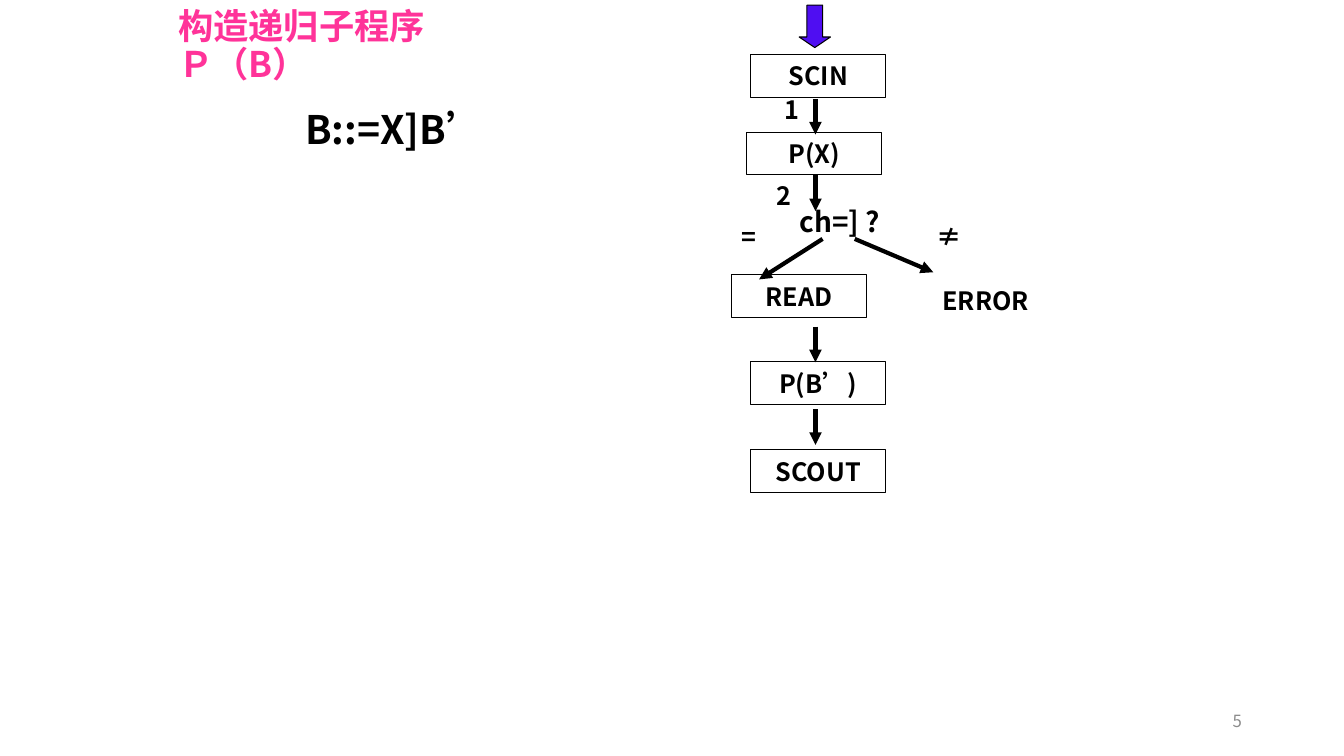
from lxml import etree
from pptx import Presentation
from pptx.dml.color import RGBColor
from pptx.enum import lang, shapes, text
from pptx.oxml.ns import qn
from pptx.util import Cm, Pt

FONT = "Noto Sans CJK SC"
COLORS = {"ink": "000000", "title": "FF3399", "entry": "4F0EF2", "number": "8C8C8C"}
BLOCK_W, BLOCK_H = 3.4, 1.08
CENTER, RIGHT = text.PP_ALIGN.CENTER, text.PP_ALIGN.RIGHT
MIDDLE = text.MSO_ANCHOR.MIDDLE


def color(key):
    return RGBColor.from_string(COLORS[key])


def write(frame, lines, size, ink="ink", bold=True, align=None, anchor=None, wrap=True):
    """Fill a text frame with one paragraph, its lines parted by breaks."""
    frame.word_wrap = wrap
    frame.vertical_anchor = anchor
    paragraph = frame.paragraphs[0]
    paragraph.alignment = align
    for index, line in enumerate(lines):
        if index:
            paragraph.add_line_break()
        run = paragraph.add_run()
        run.text = line
        font = run.font
        font.name, font.size, font.bold = FONT, Pt(size), bold
        font.color.rgb = color(ink)
        font.language_id = lang.MSO_LANGUAGE_ID.SIMPLIFIED_CHINESE
        east_asian = etree.Element(qn("a:ea"), typeface=FONT)
        run.font._element.find(qn("a:latin")).addnext(east_asian)
    return paragraph


def add_label(slide, box, lines, size, **style):
    label = slide.shapes.add_textbox(*map(Cm, box))
    return write(label.text_frame, lines, size, **style)


def add_outlined(slide, preset, box):
    shape = slide.shapes.add_shape(preset, *map(Cm, box))
    shape.shadow.inherit = False
    shape.fill.background()
    shape.line.color.rgb = color("ink")
    shape.line.width = Pt(0.75)
    return shape


def add_arrow(slide, start, end):
    arrow = slide.shapes.add_connector(shapes.MSO_CONNECTOR.STRAIGHT, *map(Cm, start + end))
    arrow.line.color.rgb = color("ink")
    arrow.line.width = Pt(3)
    etree.SubElement(arrow.line._get_or_add_ln(), qn("a:tailEnd"), type="triangle")
    etree.SubElement(arrow._element.spPr, qn("a:effectLst"))


def draw_heading(slide, left, top):
    title = add_label(slide, (left, top, 10.64, 2.36), ["构造递归子程序", "Ｐ（B）"], 25.2,
                      ink="title", anchor=MIDDLE)
    title.line_spacing = 0.9
    add_label(slide, (left + 0.74, top + 2.54, 9.96, 3.23), ["B::=X]B’"], 28, align=CENTER)


def draw_flowchart(slide, left, top):
    entry = add_outlined(slide, shapes.MSO_SHAPE.DOWN_ARROW, (left + 1.7, top + 0.13, 0.79, 1.07))
    entry.adjustments[0], entry.adjustments[1] = 0.5, 0.337
    entry.fill.solid()
    entry.fill.fore_color.rgb = color("entry")

    steps = [("SCIN", 0.48, 1.37), ("P(X)", 0.38, 3.33), ("READ", 0, 6.93),
             ("P(B’)", 0.48, 9.12), ("SCOUT", 0.48, 11.33)]
    for step, x, y in steps:
        block = add_outlined(slide, shapes.MSO_SHAPE.RECTANGLE,
                             (left + x, top + y, BLOCK_W, BLOCK_H))
        write(block.text_frame, [step], 18, align=CENTER, anchor=MIDDLE, wrap=False)

    add_label(slide, (left + 4.7, top + 7.04, BLOCK_W, BLOCK_H), ["ERROR"], 18,
              align=CENTER, anchor=MIDDLE)
    add_label(slide, (left + 1.02, top + 5.03, BLOCK_W, 1.12), ["ch=] ?"], 20, align=CENTER)
    for mark, x, y in [("1", 1.09, 2.24), ("2", 0.89, 4.42), ("=", 0, 5.44), ("≠", 4.9, 5.44)]:
        add_label(slide, (left + x, top + y, 0.81, 1.02), [mark], 18, align=CENTER)

    axis = left + 2.11
    for y in (2.49, 4.42, 8.23, 10.31):
        add_arrow(slide, (axis, top + y), (axis, top + y + 0.9))
    for x, end_x, end_y in [(2.29, 0.69, 7.04), (3.1, 5.08, 6.86)]:
        add_arrow(slide, (left + x, top + 6.02), (left + end_x, top + end_y))


def main():
    deck = Presentation()
    deck.slide_width, deck.slide_height = Cm(33.87), Cm(19.05)
    slide = deck.slides.add_slide(deck.slide_layouts[6])
    draw_heading(slide, 4.24, 0)
    draw_flowchart(slide, 18.44, 0)
    add_label(slide, (23.93, 17.65, 7.62, 1.02), ["5"], 12, ink="number", bold=False,
              align=RIGHT, anchor=MIDDLE)
    deck.save("out.pptx")


if __name__ == "__main__":
    main()
